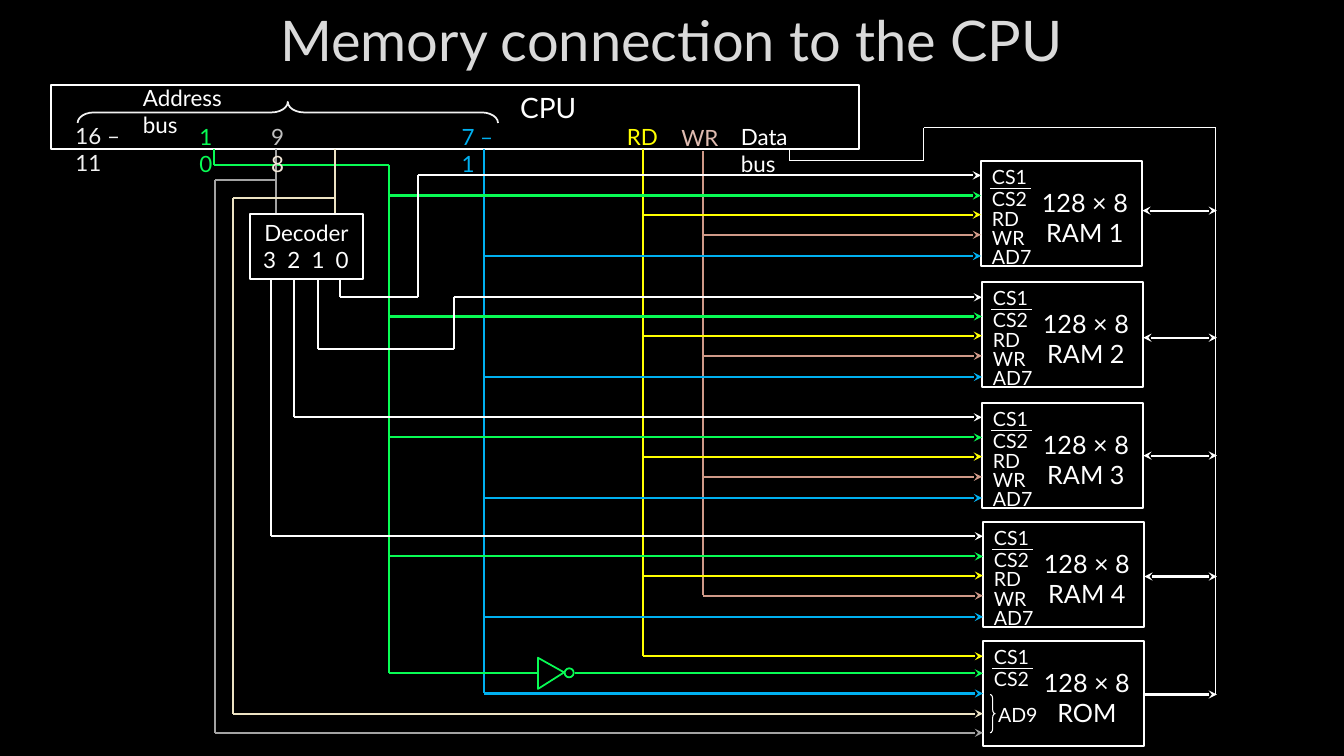
from lxml import etree
from pptx import Presentation
from pptx.dml.color import RGBColor
from pptx.enum.shapes import MSO_CONNECTOR, MSO_SHAPE
from pptx.enum.text import MSO_ANCHOR, PP_ALIGN
from pptx.oxml.ns import qn
from pptx.util import Inches, Pt

RECT = MSO_SHAPE.RECTANGLE
BRACE = MSO_SHAPE.RIGHT_BRACE
OVAL = MSO_SHAPE.OVAL
TRI = MSO_SHAPE.ISOSCELES_TRIANGLE
STRAIGHT = MSO_CONNECTOR.STRAIGHT
TOP, MIDDLE = MSO_ANCHOR.TOP, MSO_ANCHOR.MIDDLE
LEFT, CENTER = PP_ALIGN.LEFT, PP_ALIGN.CENTER

HUES = {
    "black": "000000", "white": "FFFFFF", "title": "DADADA",
    "pale": "F2F2F2", "green": "08FC54", "yellow": "FFFF00",
    "blue": "00B0F0", "rose": "CF9988", "pink": "DFBBB0",
    "gray": "A3A3A3", "silver": "BFBFBF", "cream": "EDE3C3",
    "sand": "F2E7D8",
}
RGB = {name: RGBColor.from_string(code) for name, code in HUES.items()}

prs = Presentation()
prs.slide_width = Inches(13.33)
prs.slide_height = Inches(7.5)
slide = prs.slides.add_slide(prs.slide_layouts[5])
slide.background.fill.solid()
slide.background.fill.fore_color.rgb = RGB["black"]


def wire(hue, points, ends=(), width=1.5):
    last = len(points) - 2
    for i, (start, stop) in enumerate(zip(points, points[1:])):
        seg = slide.shapes.add_connector(
            STRAIGHT, *[Inches(v) for v in (*start, *stop)])
        seg.line.color.rgb = RGB[hue]
        seg.line.width = Pt(width)
        ln = seg.line._get_or_add_ln()
        if i == last:
            for end in ends:
                etree.SubElement(ln, qn(f"a:{end}"), type="stealth")
        etree.SubElement(seg._element.spPr, qn("a:effectLst"))


def label(box, lines, size, hues, align=LEFT, wrap=False):
    frame = slide.shapes.add_textbox(*[Inches(v) for v in box]).text_frame
    frame.word_wrap = wrap
    frame.vertical_anchor = TOP
    frame.text = "\n".join(lines)
    for i, para in enumerate(frame.paragraphs):
        para.alignment = align
        para.font.name = "Lato"
        para.font.size = Pt(size)
        para.font.color.rgb = RGB[hues[i % len(hues)]]


title = slide.shapes.title
title.left, title.top = Inches(1.5), Inches(0)
title.width, title.height = Inches(10.32), Inches(2)
title.text_frame.text = "Memory connection to the CPU"
title.text_frame.vertical_anchor = TOP
head = title.text_frame.paragraphs[0]
head.alignment = CENTER
head.font.name = "Lato"
head.font.size = Pt(40)
head.font.color.rgb = RGB["title"]

chips = [
    ("RAM 1", 9.73, 1.6, 2.09), ("RAM 2", 9.74, 2.8, 3.35),
    ("RAM 3", 9.74, 4, 4.52), ("RAM 4", 9.75, 5.18, 5.72),
    ("ROM", 9.75, 6.36, 6.89),
]
shapes = [
    (RECT, (0.51, 0.84, 8.01, 0.64), "white", 1.5, 0, None),
    (RECT, (2.48, 2.12, 1.12, 0.65), "white", 1.5, 0, None),
    (BRACE, (9.82, 6.89, 0.05, 0.38), "white", 0.75, 0, (0.8, 0.5)),
    (BRACE, (2.75, -0.97, 0.21, 4.17), "pale", 1.25, 270, (0.77, 0.5)),
    (OVAL, (5.6, 6.63, 0.09, 0.09), "green", 1.25, 0, None),
    (TRI, (5.31, 6.55, 0.31, 0.26), "green", 1.25, 90, (0.47,)),
]
for name, x, y, mid in chips:
    shapes.append((RECT, (x, y, 1.6, 1.04), "white", 1.5, 0, None))

made = []
for kind, box, hue, width, turn, adjust in shapes:
    shape = slide.shapes.add_shape(kind, *[Inches(v) for v in box])
    shape.shadow.inherit = False
    shape.fill.background()
    shape.line.color.rgb = RGB[hue]
    shape.line.width = Pt(width)
    shape.rotation = turn
    for i, value in enumerate(adjust or ()):
        shape.adjustments[i] = value
    made.append(shape)

frame = made[1].text_frame
frame.margin_left = frame.margin_right = Inches(0.13)
frame.vertical_anchor = MIDDLE
frame.text = "Decoder\n3\t2\t1\t0"
stops = etree.SubElement(frame.paragraphs[1]._p.get_or_add_pPr(), qn("a:tabLst"))
for i in (1, 2, 3):
    etree.SubElement(stops, qn("a:tab"), pos=str(Inches(0.24 * i)), algn="l")
for para, align in zip(frame.paragraphs, (CENTER, LEFT)):
    para.alignment = align
    para.font.name = "Lato"
    para.font.size = Pt(16)
    para.font.color.rgb = RGB["white"]

TAIL = ("tailEnd",)
BOTH = ("headEnd", "tailEnd")
wire("white", [(7.83, 1.48), (7.83, 1.59), (9.16, 1.59), (9.16, 1.27),
               (12.06, 1.27), (12.06, 6.89)], width=0.75)

trunks = [
    ("yellow", 6.38, 1.48, 6.51), ("rose", 6.97, 1.5, 5.9),
    ("blue", 4.8, 1.48, 6.88), ("green", 3.86, 1.64, 6.68),
]
for hue, x, start, stop in trunks:
    wire(hue, [(x, start), (x, stop)])

taps = [("green", 3.86, 0.34), ("yellow", 6.38, 0.53),
        ("rose", 6.97, 0.73), ("blue", 4.8, 0.94)]
pins = [("CS1", -0.01), ("CS2", 0.21), ("RD", 0.4), ("WR", 0.59), ("AD7", 0.78)]
for name, x, y, mid in chips:
    rom = name == "ROM"
    wire("white", [(x + 1.6, mid), (12.07, mid)], TAIL if rom else BOTH)
    wire("white", [(x + 0.09, y + 0.27), (x + 0.5, y + 0.27)], width=0.75)
    for pin, drop in pins[:2] if rom else pins:
        label((x + 0.01, y + drop, 0.6, 0.27), [pin], 14, ["white"])
    label((x + 0.46, y + 0.21, 1.14, 0.71), ["128 × 8", name], 18,
          ["white"], CENTER, True)
    if not rom:
        for hue, start, drop in taps:
            wire(hue, [(start, y + drop), (x, y + drop)], TAIL)
label((9.8, 6.92, 0.61, 0.34), ["AD9"], 14, ["white"])

selects = [
    [(3.37, 2.77), (3.37, 2.95), (4.15, 2.95), (4.15, 1.74), (9.73, 1.74)],
    [(3.15, 2.77), (3.15, 3.46), (4.5, 3.46), (4.5, 2.95), (9.74, 2.95)],
    [(2.92, 2.77), (2.92, 4.14), (9.74, 4.14)],
    [(2.69, 2.77), (2.69, 5.32), (9.75, 5.32)],
]
for points in selects:
    wire("white", points, TAIL)

wire("yellow", [(6.38, 6.51), (9.75, 6.51)], TAIL)
wire("blue", [(4.8, 6.88), (9.75, 6.88)], TAIL)
wire("green", [(2.12, 1.48), (2.12, 1.64), (3.86, 1.64)])
wire("green", [(3.86, 6.68), (5.33, 6.68)])
wire("green", [(5.7, 6.68), (9.75, 6.68)], TAIL)
for hue, x, y, side, base in [("gray", 2.74, 1.79, 2.13, 7.27),
                              ("cream", 3.32, 1.96, 2.31, 7.08)]:
    wire(hue, [(x, 1.48), (x, 2.11)])
    wire(hue, [(x, y), (side, y), (side, base), (9.75, base)], TAIL)

for text, x, y, width, hue in [
        ("16 – 11", 0.65, 1.16, 0.89, "pale"), ("10", 1.88, 1.17, 0.43, "green"),
        ("7 – 1", 4.48, 1.17, 0.66, "blue"), ("RD", 6.12, 1.17, 0.55, "yellow"),
        ("WR", 6.66, 1.18, 0.6, "pink"), ("Data bus", 7.25, 1.17, 0.8, "white"),
        ("Address bus", 1.32, 0.79, 1.1, "white")]:
    label((x, y, width, 0.37), [text], 16, [hue], wrap=True)
label((2.59, 1.17, 0.89, 0.37), ["9", "8"], 16, ["silver", "sand"])
label((5.06, 0.85, 0.8, 0.44), ["CPU"], 20, ["white"])

prs.save("out.pptx")
